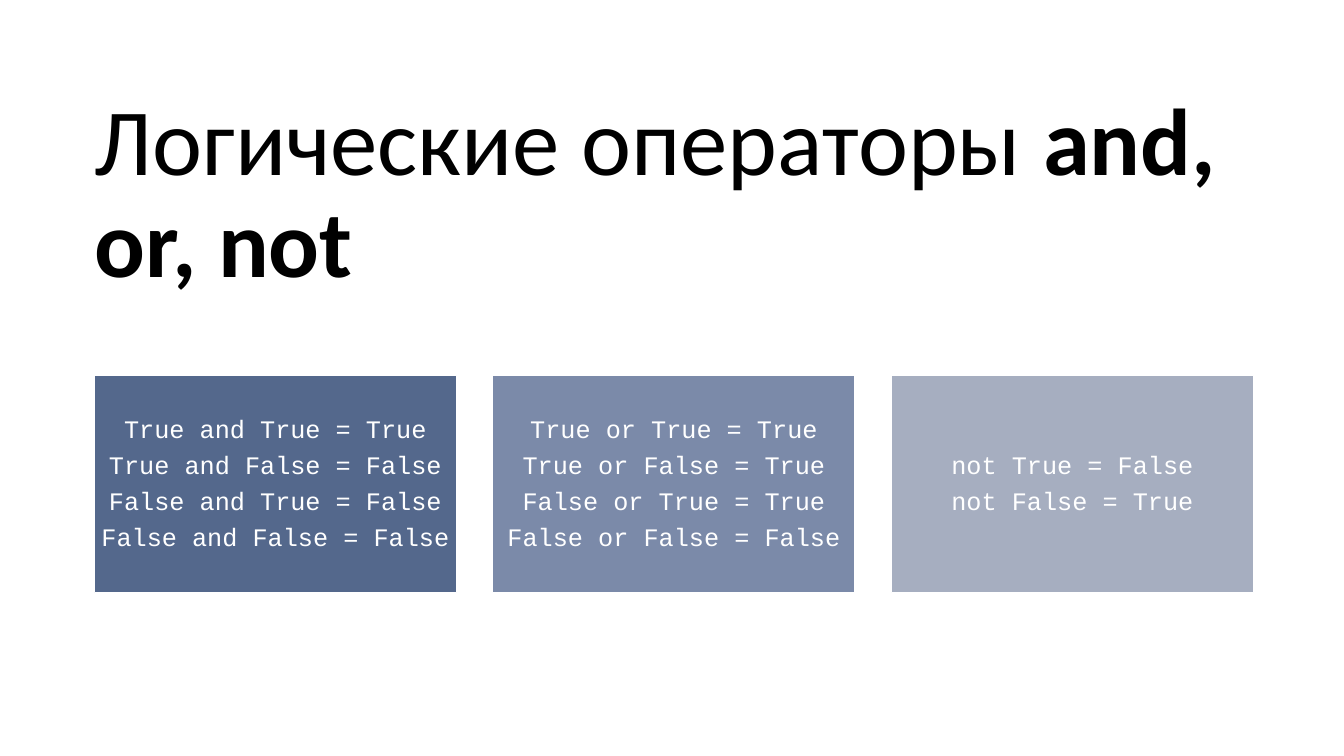
"""Build a slide on the logical operators and, or, not."""
from pptx import Presentation
from pptx.dml.color import RGBColor
from pptx.enum import shapes, text
from pptx.util import Pt

OPERATORS = [
    ("54688C", ["True and True = True", "True and False = False",
                "False and True = False", "False and False = False"]),
    ("7B8AA9", ["True or True = True", "True or False = True",
                "False or True = True", "False or False = False"]),
    ("A6AEC0", ["not True = False", "not False = True"]),
]


def paint(target, color):
    """Set a fill's or font's colour from a hex string."""
    target.rgb = RGBColor.from_string(color)


def set_frame(tf, inset):
    """Wrap and centre a text frame vertically with equal insets."""
    tf.word_wrap = True
    tf.auto_size = text.MSO_AUTO_SIZE.NONE
    tf.vertical_anchor = text.MSO_ANCHOR.MIDDLE
    tf.margin_left = tf.margin_right = Pt(inset)
    tf.margin_top = tf.margin_bottom = Pt(inset)


def style_run(r, font, size, color, bold=False):
    """Give a run its font, size, colour and weight."""
    r.font.name, r.font.size, r.font.bold = font, Pt(size), bold
    paint(r.font.color, color)


def add_title(slide, left, top, width, height):
    """Fill the title placeholder, with the operators in bold."""
    sp = slide.shapes.title
    sp.left, sp.top, sp.width, sp.height = map(Pt, (left, top, width, height))
    tf = sp.text_frame
    set_frame(tf, 0)
    p = tf.paragraphs[0]
    p.alignment = text.PP_ALIGN.LEFT
    p.line_spacing = 0.9
    for words, bold in (("Логические операторы ", False), ("and, or, not", True)):
        r = p.add_run()
        r.text = words
        style_run(r, "Calibri", 67.7, "000000", bold)


def add_truth_card(slide, left, top, width, height, color, lines):
    """Draw one operator's coloured card with its truth table."""
    sp = slide.shapes.add_shape(shapes.MSO_SHAPE.RECTANGLE,
                                *map(Pt, (left, top, width, height)))
    sp.shadow.inherit = False
    sp.fill.solid()
    paint(sp.fill.fore_color, color)
    paint(sp.line.color, "FFFFFF")
    sp.line.width = Pt(1)
    tf = sp.text_frame
    set_frame(tf, 5)
    tf.text = "\n".join(lines)
    for p in tf.paragraphs:
        p.alignment = text.PP_ALIGN.CENTER
        p.line_spacing = 0.9
        p.space_after = Pt(6.3)
        style_run(p.runs[0], "Courier New", 18, "FFFFFF")


def add_cards(slide, left, top, width, height, gap):
    """Spread the operator cards evenly across the box."""
    card = (width - gap * (len(OPERATORS) - 1)) / len(OPERATORS)
    for i, (color, lines) in enumerate(OPERATORS):
        add_truth_card(slide, left + i * (card + gap), top, card, height,
                       color, lines)


def main():
    """Assemble and save the slide."""
    prs = Presentation()
    prs.slide_width, prs.slide_height = Pt(960), Pt(540)
    slide = prs.slides.add_slide(prs.slide_layouts[5])
    add_title(slide, 67.7, 87.8, 828, 104.4)
    add_cards(slide, 67.3, 268.1, 828, 155.2, 26)
    prs.save("out.pptx")


if __name__ == "__main__":
    main()
